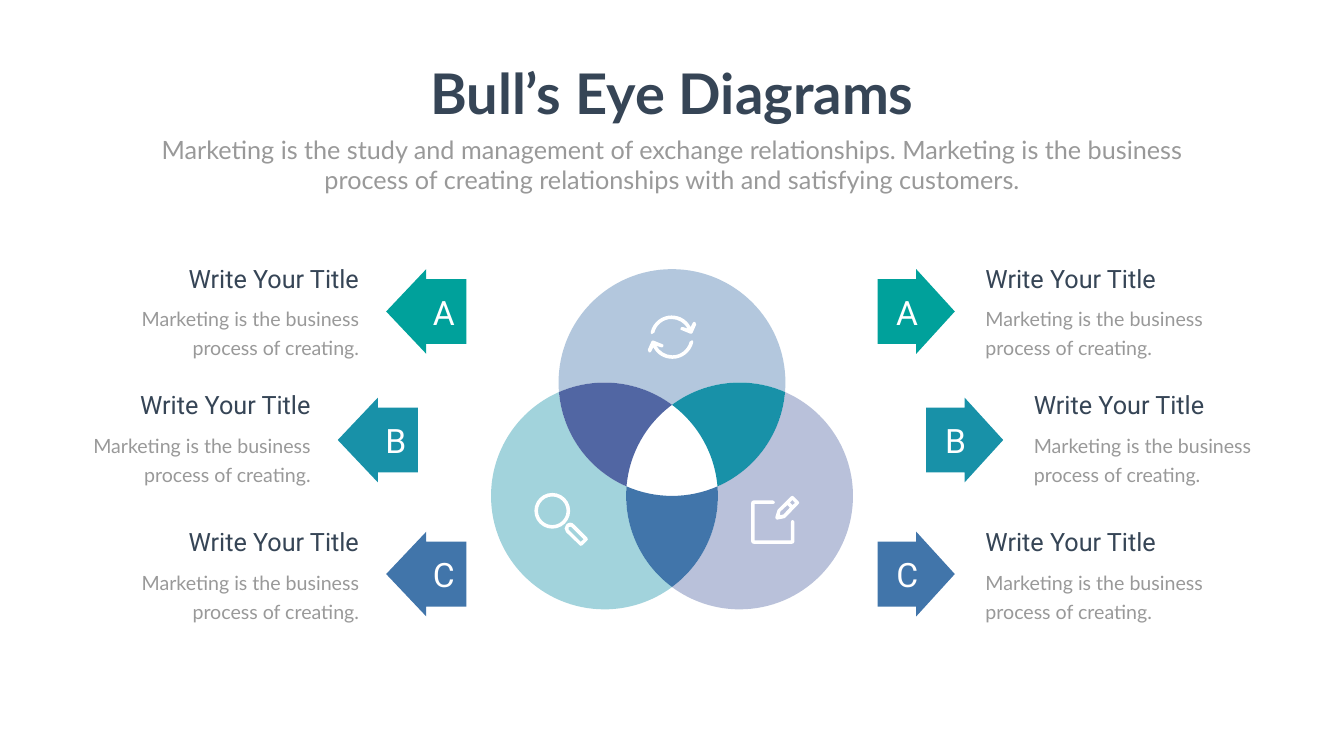
import math

import pptx
import pptx.util
import pptx.dml.color
import pptx.enum.shapes
import pptx.enum.text
from lxml import etree
from pptx.oxml.ns import qn

Inches = pptx.util.Inches
Align = pptx.enum.text.PP_ALIGN
Preset = pptx.enum.shapes.MSO_SHAPE

TEAL, CYAN, BLUE, VIOLET = "00A19B", "1891A8", "4175AA", "5166A3"
DARK, GREY, WHITE = "364556", "999999", "FFFFFF"
# letter, arrow top, text top, outward shift, colour
ROWS = [("A", 5.34, 5.17, 0, TEAL), ("B", 7.89, 7.68, 0.96, CYAN), ("C", 10.55, 10.4, 0, BLUE)]

# Contours: two numbers are a corner, six are a curve (two controls and an end)
TURN = [(.94, .13), (.92, .12, .9, .13, .89, .15), (.85, .23), (.78, .09, .64, 0, .47, 0),
        (.28, 0, .11, .13, .06, .32), (.05, .34, .06, .36, .08, .37),
        (.11, .37, .12, .36, .13, .34), (.17, .18, .31, .07, .47, .07),
        (.61, .07, .73, .15, .79, .26), (.7, .23), (.68, .22, .66, .23, .65, .25),
        (.64, .27, .65, .29, .67, .29), (.84, .36), (.87, .37, .88, .36, .89, .34),
        (.96, .18), (.96, .16, .95, .14, .94, .13)]
SHEET = [(.82, .48), (.8, .48, .79, .5, .79, .52), (.79, .88), (.07, .88), (.07, .16),
         (.43, .16), (.45, .16, .47, .15, .47, .13), (.47, .11, .45, .09, .43, .09),
         (.05, .09), (.02, .09, 0, .11, 0, .14), (0, .9), (0, .93, .02, .95, .05, .95),
         (.81, .95), (.84, .95, .86, .93, .86, .9), (.86, .52), (.86, .5, .84, .48, .82, .48)]
PENCIL = [[(.82, .18), (.77, .13), (.82, .08), (.87, .14)],
          [(.64, .37), (.57, .38), (.58, .31), (.72, .18), (.77, .23)],
          [(.94, .11), (.84, .01), (.84, 0, .83, 0, .82, 0), (.81, 0, .8, 0, .79, .01),
           (.53, .27), (.52, .27, .52, .28, .52, .29), (.48, .42), (.48, .43, .48, .45, .49, .46),
           (.5, .46, .51, .47, .52, .47), (.67, .44), (.67, .44, .68, .43, .68, .43),
           (.94, .16), (.96, .15, .96, .13, .94, .11)]]
HANDLE = [[(.71, .67), (.7, .67, .69, .67, .68, .68), (.67, .69, .67, .72, .68, .73),
           (.92, .97), (.98, .92), (.74, .68), (.73, .67, .72, .67, .71, .67)],
          [(.92, 1.05), (.91, 1.05, .9, 1.05, .9, 1.04), (.63, .78), (.59, .74, .59, .67, .63, .63),
           (.65, .61, .68, .59, .71, .59), (.74, .59, .77, .6, .79, .63), (1.05, .89),
           (1.06, .9, 1.06, .91, 1.06, .92), (1.06, .93, 1.06, .94, 1.05, .94), (.95, 1.04),
           (.94, 1.05, .93, 1.05, .92, 1.05)]]


def colour(value):
    """Turn a hex string into a colour."""
    return pptx.dml.color.RGBColor.from_string(value)


def apply(target, values):
    """Set every attribute named in a dict of format values."""
    for name, value in values.items():
        setattr(target, name, value)


def paint(shape, fill, alpha=None):
    """Give a shape a plain fill, no outline and no shadow."""
    shape.shadow.inherit = False
    shape.fill.solid()
    shape.fill.fore_color.rgb = colour(fill)
    shape.line.fill.background()
    if alpha:
        tint = shape.fill._xPr.find(qn("a:solidFill"))[0]
        etree.SubElement(tint, qn("a:alpha"), val=str(alpha * 1000))


def write(shape, text, size, font, ink, align=Align.LEFT, spacing=None, bold=False, wrap=True):
    """Put one formatted paragraph into a shape."""
    frame = shape.text_frame
    apply(frame, {"word_wrap": wrap, "auto_size": pptx.enum.text.MSO_AUTO_SIZE.NONE,
                  "vertical_anchor": pptx.enum.text.MSO_ANCHOR.TOP})
    para = frame.paragraphs[0]
    apply(para, {"alignment": align, "line_spacing": spacing})
    span = para.add_run()
    span.text = text
    apply(span.font, {"size": pptx.util.Pt(size), "name": font, "bold": bold})
    span.font.color.rgb = colour(ink)


def add_text(page, box, *args, **options):
    """Add a text box at a box given in inches."""
    write(page.shapes.add_textbox(*map(Inches, box)), *args, **options)


def outline(page, contours, left=0, top=0):
    """Draw closed contours of corners and curves, relative to a corner."""
    contours = [[[Inches(value + (top if place % 2 else left)) for place, value in enumerate(part)]
                 for part in contour] for contour in contours]
    builder = page.shapes.build_freeform(*contours[0][0])
    for index, (start, *parts) in enumerate(contours):
        if index:
            builder.move_to(*start)
        builder.add_line_segments([part[-2:] for part in parts], close=True)
    shape = builder.convert_to_shape()
    lines = list(shape._element.iter(qn("a:lnTo")))
    for line, part in zip(lines, (part for contour in contours for part in contour[1:])):
        if len(part) == 6:
            line.tag = qn("a:cubicBezTo")
            for place in (0, 2):
                control = etree.Element(qn("a:pt"), x=str(part[place] - shape.left),
                                        y=str(part[place + 1] - shape.top))
                line.insert(place // 2, control)
    return shape


def arc(centre, radius, start, end, clockwise=True):
    """List the curves along a circle, split where it crosses its axes."""
    first, last = (math.atan2(y - centre[1], x - centre[0]) for x, y in (start, end))
    sweep = (last - first) % math.tau if clockwise else -((first - last) % math.tau)
    low, high = sorted((first, first + sweep))
    splits = [k * math.pi / 2 for k in range(-8, 9) if low < k * math.pi / 2 < high]
    angles = sorted([low, *splits, high], reverse=not clockwise)
    curves = []
    for a, b in zip(angles, angles[1:]):
        pull = 4 / 3 * math.tan((b - a) / 4)
        unit = (math.cos(a) - pull * math.sin(a), math.sin(a) + pull * math.cos(a),
                math.cos(b) + pull * math.sin(b), math.sin(b) - pull * math.cos(b),
                math.cos(b), math.sin(b))
        curves.append(tuple(centre[k % 2] + radius * value for k, value in enumerate(unit)))
    return curves


def crossings(one, two, radius, middle):
    """Return the inner and outer crossing of two equal circles."""
    dx, dy = two[0] - one[0], two[1] - one[1]
    half = math.hypot(dx, dy) / 2
    reach = math.sqrt(radius ** 2 - half ** 2) / (2 * half)
    mid = ((one[0] + two[0]) / 2, (one[1] + two[1]) / 2)
    points = [(mid[0] - dy * side * reach, mid[1] + dx * side * reach) for side in (1, -1)]
    return sorted(points, key=lambda point: math.dist(point, middle))


def add_venn(page, left, top, radius=2.25):
    """Draw three crossing circles as crescents and petals."""
    centres = [(left + 3.6, top + radius), (left + 4.94, top + 4.5), (left + 2.26, top + 4.5)]
    middle = tuple(sum(axis) / 3 for axis in zip(*centres))
    for index, (pale, strong) in enumerate([(BLUE, CYAN), (VIOLET, BLUE), (CYAN, VIOLET)]):
        here, after, before = (centres[(index + step) % 3] for step in range(3))
        tip, _ = crossings(after, before, radius, middle)
        inner, outer_before = crossings(here, before, radius, middle)
        _, outer_after = crossings(here, after, radius, middle)
        edge = [tip] + arc(after, radius, tip, outer_after)
        crescent = (edge + arc(here, radius, outer_after, outer_before, False)
                    + arc(before, radius, outer_before, tip))
        petal = (edge + arc(here, radius, outer_after, inner)
                 + arc(before, radius, inner, tip, False))
        paint(outline(page, [crescent]), pale, alpha=40)
        paint(outline(page, [petal]), strong)


def add_refresh(page, left, top):
    """Draw two turning arrows, the second a half turn of the first."""
    turned = [tuple((0.86 if place % 2 else 0.96) - value for place, value in enumerate(part))
              for part in TURN]
    for contour in (TURN, turned):
        paint(outline(page, [contour], left, top), WHITE)


def add_edit(page, left, top):
    """Draw a pencil over an open square."""
    for contours in ([SHEET], PENCIL):
        paint(outline(page, contours, left, top), WHITE)


def add_search(page, left, top):
    """Draw a magnifying glass."""
    paint(outline(page, HANDLE, left, top), WHITE)
    lens = page.shapes.add_shape(Preset.DONUT, *map(Inches, (left, top, 0.71, 0.71)))
    lens.adjustments[0] = 0.1
    paint(lens, WHITE)


def add_label(page, row, rightward):
    """Draw one lettered arrow with its title and text."""
    letter, top, text_top, shift, fill = row
    if rightward:
        left, width, preset, align = 17.41 + shift, 1.53, Preset.RIGHT_ARROW, Align.LEFT
        letter_left, letter_align = left + 0.14, Align.CENTER
        title_left = body_left = left + 2.04
    else:
        left, width, preset, align = 7.66 - shift, 1.59, Preset.LEFT_ARROW, Align.RIGHT
        letter_left, letter_align = left + 0.57, Align.RIGHT
        title_left, body_left = left - 4.85, left - 5.51
    arrow = page.shapes.add_shape(preset, *map(Inches, (left, top, width, 1.68)))
    arrow.adjustments[0], arrow.adjustments[1] = 0.767, 0.5
    paint(arrow, fill)
    add_text(page, (letter_left, top + 0.4, 0.89, 0.91), letter, 48, "Roboto", WHITE, letter_align)
    add_text(page, (body_left, text_top + 0.78, 5.07, 1.19),
             "Marketing is the business process of creating.",
             28, "Lato", GREY, align, spacing=pptx.util.Pt(40.8))
    add_text(page, (title_left, text_top, 4.41, 0.71), "Write Your Title",
             36, "Roboto", DARK, align)


def add_heading(page, left, top):
    """Place the title and the text below it."""
    title = page.shapes.title
    box = (left + 5.42, top, 9.98, 1.45)
    apply(title, dict(zip(("left", "top", "width", "height"), map(Inches, box))))
    write(title, "Bull’s Eye Diagrams", 80, "Lato", DARK, Align.CENTER, bold=True, wrap=False)
    add_text(page, (left, top + 1.49, 20.82, 1.31),
             "Marketing is the study and management of exchange relationships. Marketing is the "
             "business process of creating relationships with and satisfying customers.",
             36, "Lato", GREY, Align.CENTER)


deck = pptx.Presentation()
apply(deck, {"slide_width": Inches(26.66), "slide_height": Inches(15)})
page = deck.slides.add_slide(deck.slide_layouts[5])
add_heading(page, 2.92, 1.12)
add_venn(page, 9.73, 5.34)
add_refresh(page, 12.85, 6.26)
add_edit(page, 14.9, 9.84)
add_search(page, 10.6, 9.78)
for rightward in (True, False):
    for row in ROWS:
        add_label(page, row, rightward)
deck.save("out.pptx")
